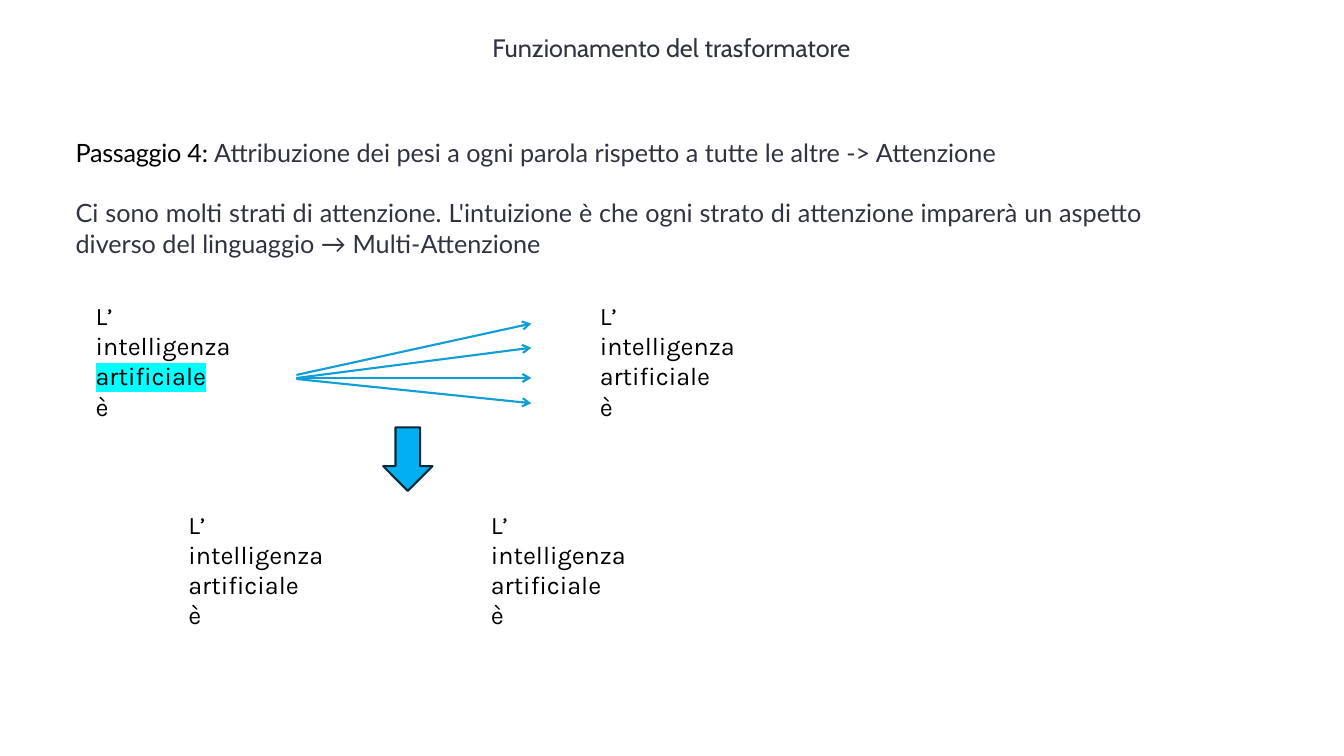
from lxml.etree import SubElement
from pptx import Presentation
from pptx.dml.color import RGBColor
from pptx.enum.shapes import MSO_CONNECTOR, MSO_SHAPE
from pptx.enum.text import MSO_AUTO_SIZE, PP_ALIGN
from pptx.oxml import parse_xml
from pptx.oxml.ns import nsdecls, qn
from pptx.util import Inches, Pt


def color(value):
    return RGBColor.from_string(value)


def add_run(paragraph, text, font, hex_color):
    run = paragraph.add_run()
    run.text = text
    run.font.name = font
    run.font.size = Pt(18)
    run.font.color.rgb = color(hex_color)
    return run


INK = "31333F"
BLACK = "000000"

prs = Presentation()
prs.slide_width = Inches(13.33)
prs.slide_height = Inches(7.5)
slide = prs.slides.add_slide(prs.slide_layouts[6])
shapes = slide.shapes

passage = shapes.add_textbox(Inches(0.61), Inches(1.19), Inches(10.72), Inches(1.38)).text_frame
passage.word_wrap = True
passage.auto_size = MSO_AUTO_SIZE.SHAPE_TO_FIT_TEXT
passage.margin_left = passage.margin_right = passage.margin_bottom = 0
passage.margin_top = Inches(0.17)
step = passage.paragraphs[0]
layers = passage.add_paragraph()
layers.space_before = Pt(21.6)
for paragraph in (step, layers):
    paragraph.alignment = PP_ALIGN.JUSTIFY
    properties = paragraph._p.get_or_add_pPr()
    properties.set("marL", str(Inches(0.14)))
    properties.set("indent", "0")
step_label = add_run(step, "Passaggio 4: ", "Lato", BLACK)
step_label._r.get_or_add_rPr().set("spc", "-20")
add_run(step, "Attribuzione dei pesi a ogni parola rispetto a tutte le altre -> Attenzione", "Lato", INK)
add_run(
    layers,
    "Ci sono molti strati di attenzione. L'intuizione è che ogni strato di attenzione "
    "imparerà un aspetto diverso del linguaggio → Multi-Attenzione",
    "Lato",
    INK,
)

title = shapes.add_textbox(Inches(0.14), Inches(0.27), Inches(13.04), Inches(0.4)).text_frame
title.word_wrap = True
title.auto_size = MSO_AUTO_SIZE.SHAPE_TO_FIT_TEXT
title.paragraphs[0].alignment = PP_ALIGN.CENTER
add_run(title.paragraphs[0], "Funzionamento del trasformatore", "Cabin", INK)

words = ["L’", "intelligenza", "artificiale", "è"]
word_pairs = [
    (0.85, 2.93, 6.82, [5], "", "artificiale"),
    (0.77, 5, 6.67, [1, 4], "\t", None),
]
for left, top, width, stops, lead, focus in word_pairs:
    pair = shapes.add_textbox(Inches(left), Inches(top), Inches(width), Inches(1.31)).text_frame
    pair.word_wrap = True
    pair.auto_size = MSO_AUTO_SIZE.SHAPE_TO_FIT_TEXT
    for row, word in enumerate(words):
        paragraph = pair.add_paragraph() if row else pair.paragraphs[0]
        tabs = SubElement(paragraph._p.get_or_add_pPr(), qn("a:tabLst"))
        for stop in stops:
            SubElement(tabs, qn("a:tab"), pos=str(Inches(stop)), algn="l")
        source_word = add_run(paragraph, lead + word, "Karla", BLACK)
        add_run(paragraph, "\t" + word, "Karla", BLACK)
        if word == focus:
            source_word._r.rPr.find(qn("a:solidFill")).addnext(parse_xml(
                f'<a:highlight {nsdecls("a")}><a:srgbClr val="00FFFF"/></a:highlight>'
            ))

for start_y, end_y in [(3.75, 3.45), (3.75, 3.75), (3.76, 4), (3.72, 3.21)]:
    attention = shapes.add_connector(
        MSO_CONNECTOR.STRAIGHT, Inches(2.94), Inches(start_y), Inches(5.27), Inches(end_y)
    )
    attention.line.color.rgb = color("0F9ED5")
    attention.line.width = Pt(1.5)
    SubElement(attention.line._get_or_add_ln(), qn("a:tailEnd"), type="arrow")
    SubElement(attention._element.spPr, qn("a:effectLst"))

next_layer = shapes.add_shape(MSO_SHAPE.DOWN_ARROW, Inches(3.8), Inches(4.24), Inches(0.49), Inches(0.63))
next_layer.shadow.inherit = False
next_layer.fill.solid()
next_layer.fill.fore_color.rgb = color("00B0F0")
next_layer.line.color.rgb = color("092A39")
next_layer.line.width = Pt(1.5)

prs.save("out.pptx")
